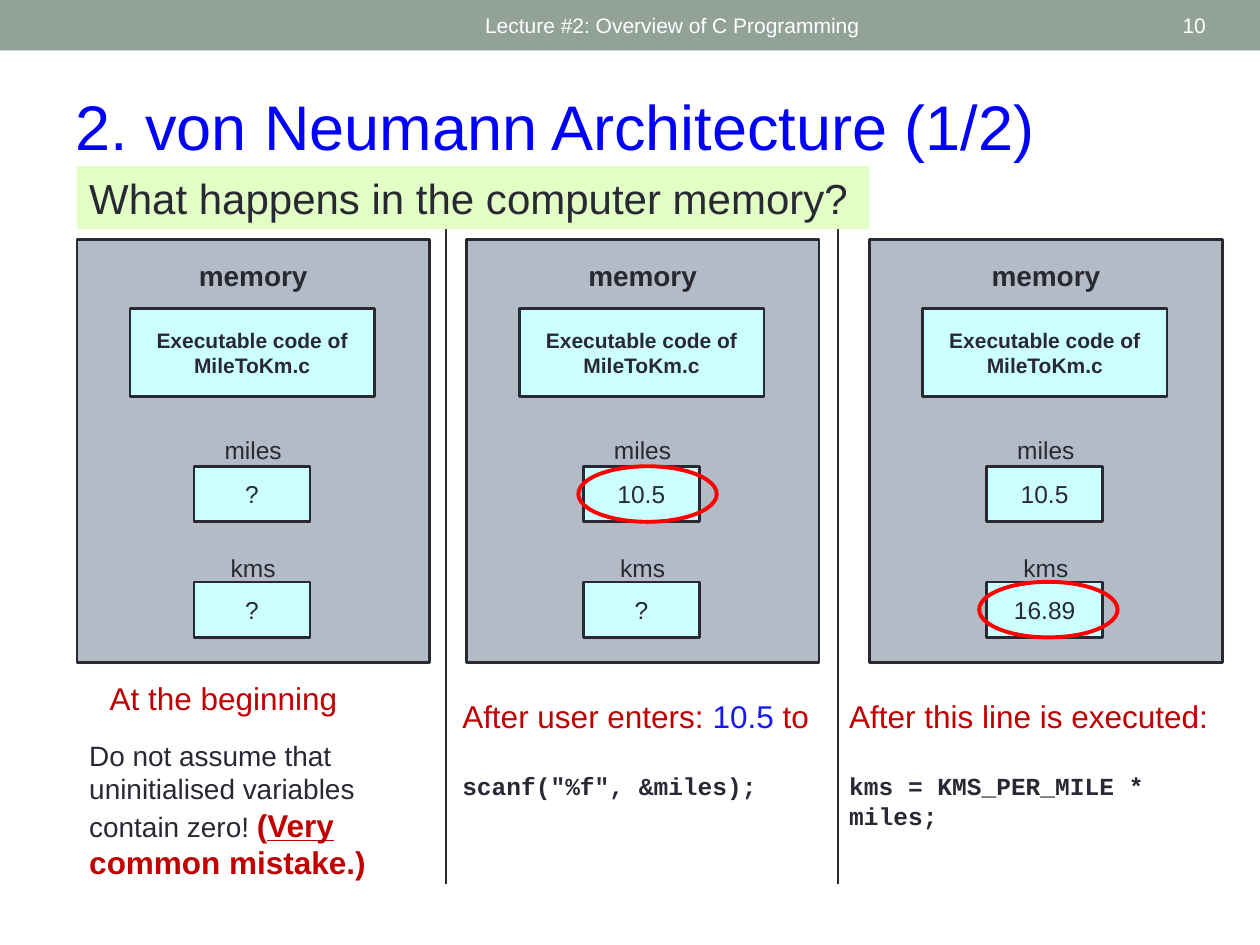
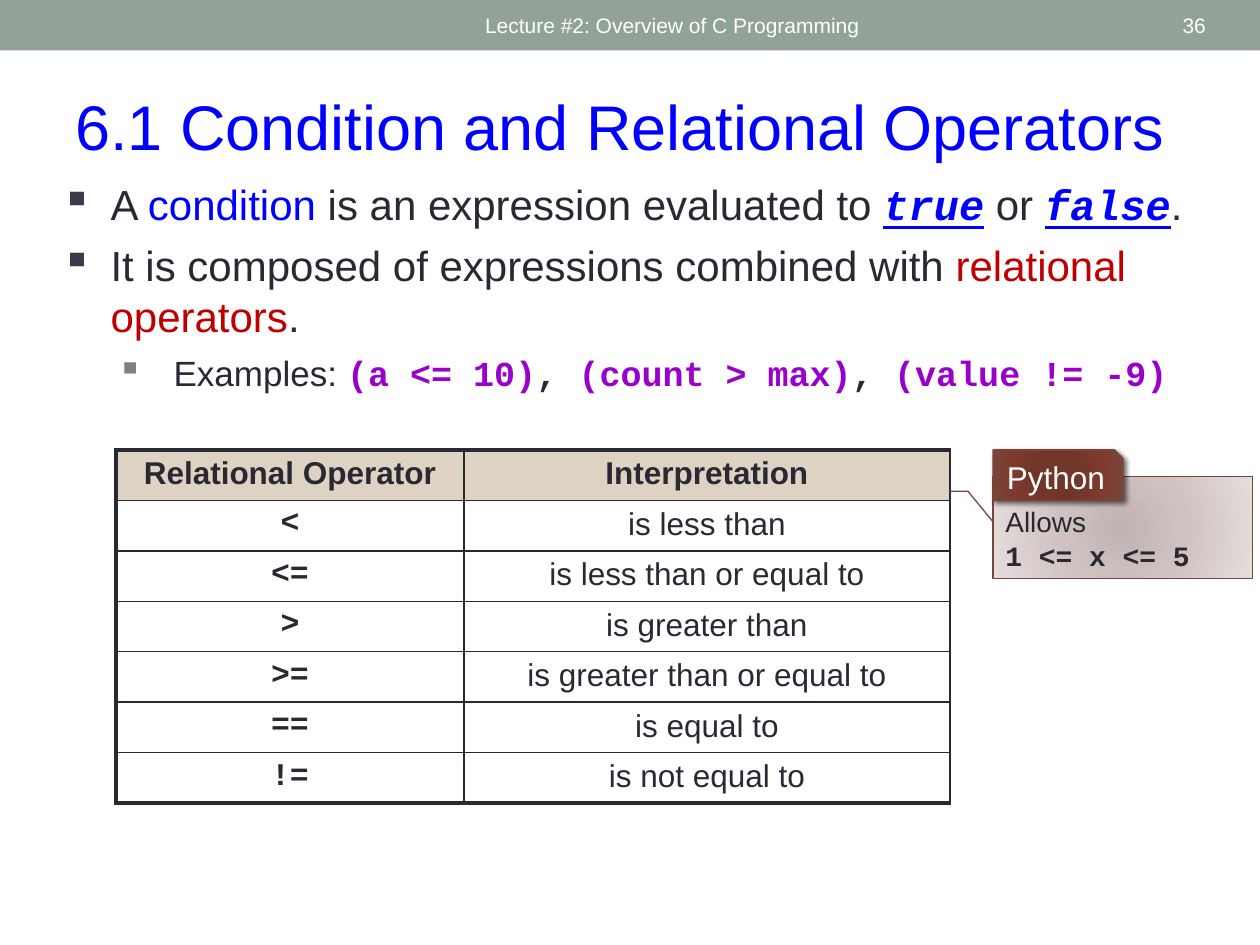
"""Build two lecture slides on memory states and relational operators in C."""
from dataclasses import dataclass, field
from typing import Any, NamedTuple

from pptx import Presentation, oxml
from pptx import util as u
from pptx.dml import color as dml
from pptx.enum import shapes, text
from pptx.oxml import ns

COLORS = {
    "ink": "292934", "white": "FFFFFF", "band": "93A299", "title": "0000FF",
    "red": "C00000", "input": "1818FF", "code": "9900CC", "ring": "FF0000",
    "memory": "B3BBC6", "cell": "CCFFFF", "question": "E2FFC5",
    "header": "DED2C2", "brown": "79463D",
    "bullet": "3B3B4B", "subbullet": "808080",
}
NOTE_STOPS = [(0, "C0B3B1"), (45, "D0C2C0"), (100, "E5DEDD")]
TAG_STOPS = [(0, "743327"), (34, "72352A"), (70, "7F3B2F"), (100, "79463D")]
BOLD = {"bold": True}
CODE = {"name": "Courier New", "bold": True}
TRUTH = {**CODE, "italic": True, "underline": True}
MID = text.MSO_ANCHOR.MIDDLE
TOP = text.MSO_ANCHOR.TOP
CENTER = text.PP_ALIGN.CENTER
RECT = shapes.MSO_SHAPE.RECTANGLE


class Box(NamedTuple):
    """Left, top, width and height in centimetres."""
    x: float
    y: float
    w: float
    h: float

    def emu(self) -> list[u.Length]:
        """Return the four lengths for python-pptx."""
        return [u.Cm(v) for v in self]


class Run(NamedTuple):
    """A stretch of text with one format."""
    text: str
    size: float = 14
    color: str = "ink"
    fmt: dict[str, Any] = {}


@dataclass
class Para:
    """A paragraph with its runs and spacing."""
    runs: list[Run]
    before: float = 0
    align: Any = text.PP_ALIGN.LEFT
    bullet: str = ""
    indent: tuple[float, float] = (0, 0)
    level: int = 0


@dataclass
class State:
    """One column showing memory at a moment of the program."""
    x: float
    miles: str
    kms: str
    caption_box: Box
    caption: list[Para] = field(default_factory=list)


def rgb(key: str) -> dml.RGBColor:
    """Look up a colour by name."""
    return dml.RGBColor.from_string(COLORS[key])


def line(text_: str, size: float = 14, color: str = "ink", fmt: dict[str, Any] = {}, **kw: Any) -> Para:
    """Return a paragraph made of a single run."""
    return Para([Run(text_, size, color, fmt)], **kw)


def write(tf: Any, paras: list[Para], anchor: Any = TOP) -> None:
    """Fill a text frame with paragraphs."""
    for name, value in {"word_wrap": True, "vertical_anchor": anchor}.items():
        setattr(tf, name, value)
    for i, para in enumerate(paras):
        p = tf.paragraphs[0] if i == 0 else tf.add_paragraph()
        if para.bullet:
            add_bullet(p, para)
        for name, value in {"alignment": para.align, "level": para.level, "space_before": u.Pt(para.before)}.items():
            setattr(p, name, value)
        for run in para.runs:
            r = p.add_run()
            r.text = run.text
            r.font.color.rgb = rgb(run.color)
            for name, value in {"name": "Arial", "size": u.Pt(run.size), **run.fmt}.items():
                setattr(r.font, name, value)


def add_bullet(p: Any, para: Para) -> None:
    """Give a paragraph a coloured square and a hanging indent."""
    pPr = p._p.get_or_add_pPr()
    left, first = para.indent
    pPr.set("marL", str(u.Cm(left)))
    pPr.set("indent", str(u.Cm(first)))
    for xml in (f'<a:buClr {ns.nsdecls("a")}><a:srgbClr val="{COLORS[para.bullet]}"/></a:buClr>',
                f'<a:buChar {ns.nsdecls("a")} char="▪"/>'):
        pPr.append(oxml.parse_xml(xml))


def add_text(sp_tree: Any, box: Box, *paras: Para, anchor: Any = TOP) -> None:
    """Add a text box."""
    write(sp_tree.add_textbox(*box.emu()).text_frame, list(paras), anchor)


def add_box(sp_tree: Any, box: Box, *paras: Para, kind: Any = RECT, fill: str = "",
            edge: str = "", width: float = 1.5, anchor: Any = MID) -> Any:
    """Add a preset shape with optional fill, outline and text."""
    sp = sp_tree.add_shape(kind, *box.emu())
    sp.shadow.inherit = False
    if fill:
        sp.fill.solid()
        sp.fill.fore_color.rgb = rgb(fill)
    else:
        sp.fill.background()
    if edge:
        sp.line.color.rgb = rgb(edge)
        sp.line.width = u.Pt(width)
    else:
        sp.line.fill.background()
    write(sp.text_frame, list(paras), anchor)
    return sp


def fill_radial(sp: Any, stops: list[tuple[int, str]]) -> None:
    """Fill a shape with a circular gradient."""
    sp.fill.gradient()
    spPr = sp._element.spPr
    gs = "".join(f'<a:gs pos="{pos * 1000}"><a:srgbClr val="{hex_}"/></a:gs>' for pos, hex_ in stops)
    sides = " ".join(f'{side}="100000"' for side in "ltrb")
    spPr.replace(spPr.find(ns.qn("a:gradFill")), oxml.parse_xml(
        f'<a:gradFill {ns.nsdecls("a")} rotWithShape="1"><a:gsLst>{gs}</a:gsLst>'
        f'<a:path path="circle"><a:fillToRect {sides}/></a:path></a:gradFill>'))


def add_divider(s: Any, x: float) -> None:
    """Draw a vertical rule between columns."""
    cxn = s.shapes.add_connector(shapes.MSO_CONNECTOR.STRAIGHT, u.Cm(x), u.Cm(4.47), u.Cm(x), u.Cm(17.83))
    cxn.line.color.rgb = rgb("ink")
    cxn.line.width = u.Pt(1)
    cxn._element.spPr.append(oxml.parse_xml(f'<a:effectLst {ns.nsdecls("a")}/>'))


def new_slide(prs: Any, title: str, number: int) -> Any:
    """Add a slide with the band, footer texts and title."""
    s = prs.slides.add_slide(prs.slide_layouts[6])
    add_box(s.shapes, Box(0, 0, 25.4, 1.02), fill="band")
    add_text(s.shapes, Box(9.53, 0.05, 11.43, 0.91),
             line("Lecture #2: Overview of C Programming", 12, "white"), anchor=MID)
    add_text(s.shapes, Box(1.27, 1.63, 23.6, 1.8), line(title, 36, "title"))
    add_text(s.shapes, Box(22.15, 0.05, 2.41, 0.91),
             line(str(number), 12, "white", align=text.PP_ALIGN.RIGHT), anchor=MID)
    return s


def draw_state(s: Any, state: State) -> None:
    """Draw the memory block of one column and its caption."""
    g = s.shapes.add_group_shape().shapes
    x, w = state.x, 7.11
    add_text(g, state.caption_box, *state.caption)
    add_box(g, Box(x, 4.83, w, 8.53), fill="memory", edge="ink")
    add_text(g, Box(x, 5.08, w, 0.94), line("memory", 16, fmt=BOLD, align=CENTER))
    add_box(g, Box(x + 1.07, 6.22, 4.93, 1.78),
            line("Executable code of MileToKm.c", 12, fmt=BOLD, align=CENTER), fill="cell", edge="ink")
    for name, value, label_y, y in (("miles", state.miles, 8.64, 9.4), ("kms", state.kms, 11.02, 11.73)):
        add_box(g, Box(x + 2.36, y, 2.34, 1.12), line(value, align=CENTER), fill="cell", edge="ink")
        add_text(g, Box(x, label_y, w, 0.86), line(name, align=CENTER))


def memory_slide(prs: Any) -> None:
    """Compare memory at three moments of the program."""
    s = new_slide(prs, "2. von Neumann Architecture (1/2)", 10)
    states = [
        State(1.55, "?", "?", Box(1.96, 13.56, 5.6, 1.02), [line("At the beginning", 18, "red")]),
        State(9.4, "10.5", "?", Box(9.07, 13.92, 7.98, 2.49), [
            Para([Run("After user enters: ", 18, "red"), Run("10.5 ", 18, "input"), Run("to", 18, "red")]),
            line('scanf("%f", &miles);', fmt=CODE, before=21)]),
        State(17.53, "10.5", "16.89", Box(16.87, 13.92, 8.51, 2.39), [
            line("After this line is executed:", 18, "red"),
            line("kms = KMS_PER_MILE * miles;", fmt=CODE, before=21)]),
    ]
    for state in states:
        draw_state(s, state)
    mistake = {"size": 18, "color": "red"}
    add_box(s.shapes, Box(1.55, 14.76, 6.5, 3.18), Para([
        Run("Do not assume that uninitialised variables contain zero! ", 16),
        Run("(", fmt=BOLD, **mistake),
        Run("Very", fmt={**BOLD, "underline": True}, **mistake),
        Run(" common mistake.)", fmt=BOLD, **mistake)]), fill="white", anchor=TOP)
    for x, y in ((11.66, 9.4), (19.74, 11.73)):
        add_box(s.shapes, Box(x, y, 2.79, 1.12), kind=shapes.MSO_SHAPE.OVAL, edge="ring", width=2.25)
    for x in (8.99, 16.89):
        add_divider(s, x)
    add_box(s.shapes, Box(1.55, 3.35, 15.98, 1.27),
            line("What happens in the computer memory?", 24), fill="question")


def set_borders(cell: Any, widths: dict[str, float]) -> None:
    """Draw the four borders of a table cell."""
    tcPr = cell._tc.get_or_add_tcPr()
    for i, (side, width) in enumerate(widths.items()):
        tcPr.insert(i, oxml.parse_xml(
            f'<a:ln{side} {ns.nsdecls("a")} w="{u.Pt(width)}"><a:solidFill>'
            f'<a:srgbClr val="{COLORS["ink"]}"/></a:solidFill></a:ln{side}>'))


def add_operator_table(s: Any) -> None:
    """Add the table of relational operators."""
    rows = [("Relational Operator", "Interpretation"), ("<", "is less than"),
            ("<=", "is less than or equal to"), (">", "is greater than"),
            (">=", "is greater than or equal to"), ("==", "is equal to"), ("!=", "is not equal to")]
    height = 1.016
    tbl = s.shapes.add_table(len(rows), 2, *Box(2.34, 9.07, 16.81, height * len(rows)).emu()).table
    for col, w in zip(tbl.columns, (7.01, 9.8)):
        col.width = u.Cm(w)
    for i, row in enumerate(rows):
        tbl.rows[i].height = u.Cm(height)
        for j, label in enumerate(row):
            cell = tbl.cell(i, j)
            fmt = BOLD if i == 0 else CODE if j == 0 else {"bold": False}
            write(cell.text_frame, [line(label, 18, fmt=fmt, align=CENTER)])
            cell.fill.solid()
            cell.fill.fore_color.rgb = rgb("white" if i else "header")
            set_borders(cell, {"L": 1 if j else 2.25, "R": 1, "T": 1 if i else 2.25,
                               "B": 2.25 if i == len(rows) - 1 else 1})


def add_python_note(s: Any) -> None:
    """Add the callout comparing with Python."""
    note = add_box(s.shapes, Box(20.02, 9.6, 5.23, 2.06), line("Allows", 16),
                   line("1 <= x <= 5", 16, fmt=CODE), kind=shapes.MSO_SHAPE.LINE_CALLOUT_2,
                   edge="brown", width=0.75, anchor=text.MSO_ANCHOR.BOTTOM)
    for i, value in enumerate((0.444, -0.001, 0.148, -0.097, 0.149, -0.168)):
        note.adjustments[i] = value
    fill_radial(note, NOTE_STOPS)
    tag = add_box(s.shapes, Box(20.02, 9.07, 2.62, 1.02), line("Python", 18, "white", align=CENTER),
                  kind=shapes.MSO_SHAPE.SNIP_1_RECTANGLE, edge="brown", width=0.75)
    fill_radial(tag, TAG_STOPS)
    tag._element.spPr.find(ns.qn("a:effectLst")).append(oxml.parse_xml(
        f'<a:outerShdw {ns.nsdecls("a")} blurRad="{u.Pt(3)}" dist="{u.Pt(2)}" dir="2700000">'
        '<a:srgbClr val="000000"><a:alpha val="60000"/></a:srgbClr></a:outerShdw>'))


def operator_slide(prs: Any) -> None:
    """Explain conditions and relational operators."""
    s = new_slide(prs, "6.1 Condition and Relational Operators", 36)
    main = {"bullet": "bullet", "indent": (0.99, -0.99)}
    examples = [Run("Examples: ", 20)]
    for i, expr in enumerate(("(a <= 10)", "(count > max)", "(value != -9)")):
        if i:
            examples.append(Run(", ", 20, fmt=CODE))
        examples.append(Run(expr, 20, "code", CODE))
    add_text(
        s.shapes, Box(0.99, 3.48, 23.32, 5.08),
        Para([Run("A ", 24), Run("condition", 24, "title"), Run(" is an expression evaluated to ", 24),
              Run("true", 24, "title", TRUTH), Run(" or ", 24), Run("false", 24, "title", TRUTH),
              Run(".", 24)], **main),
        Para([Run("It is composed of expressions combined with ", 24),
              Run("relational operators", 24, "red"), Run(".", 24)], before=6, **main),
        Para(examples, before=6, bullet="subbullet", indent=(2.26, -1.14), level=1))
    add_operator_table(s)
    add_python_note(s)


def main() -> None:
    """Create and save the presentation."""
    prs = Presentation()
    prs.slide_width, prs.slide_height = u.Cm(25.4), u.Cm(19.05)
    memory_slide(prs)
    operator_slide(prs)
    prs.save("out.pptx")


if __name__ == "__main__":
    main()
